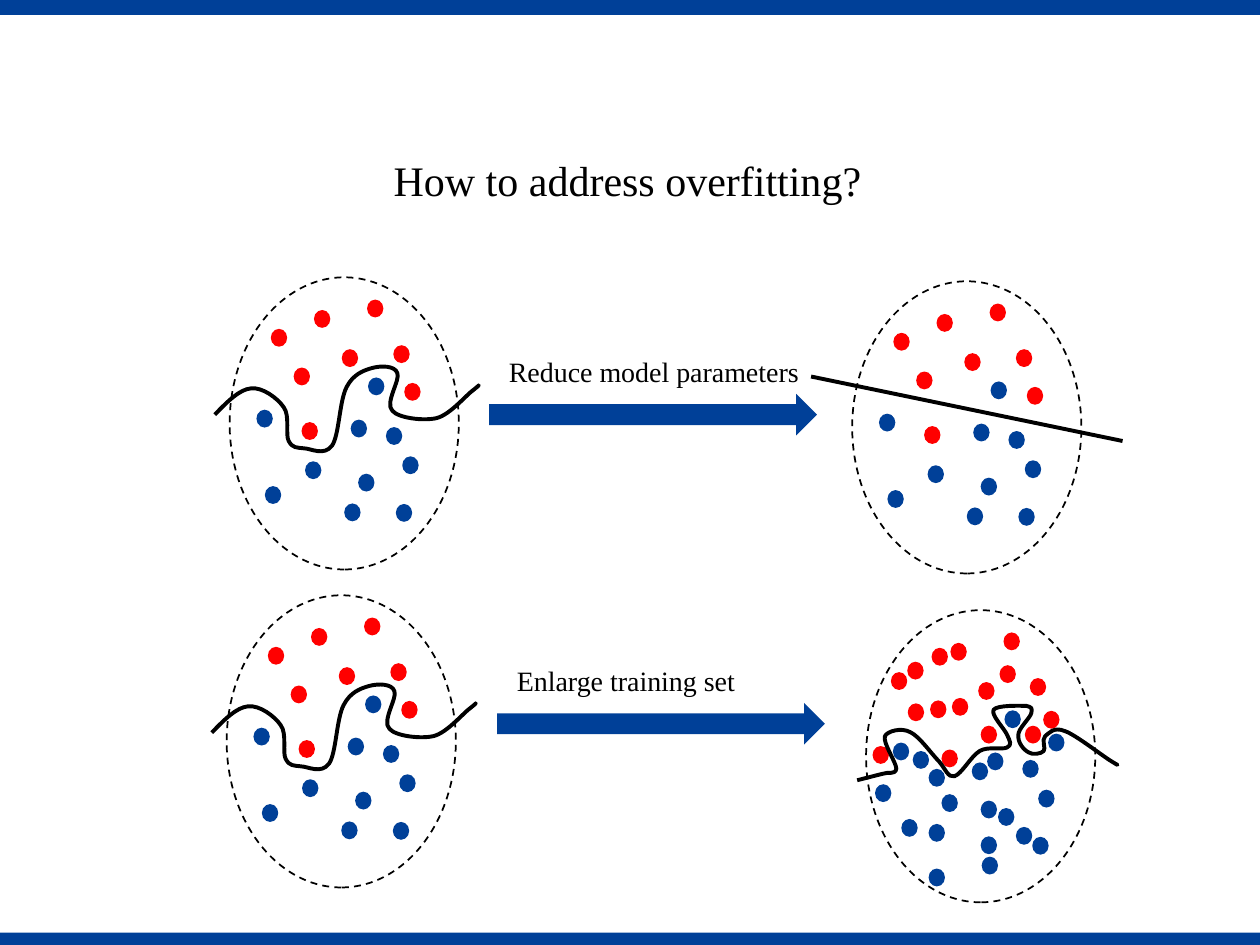
import lxml.etree
import pptx
import pptx.dml.color
import pptx.enum.dml
import pptx.enum.shapes
import pptx.enum.text
import pptx.oxml.ns
import pptx.util

Cm = pptx.util.Cm
Pt = pptx.util.Pt
qn = pptx.oxml.ns.qn
Shape = pptx.enum.shapes.MSO_SHAPE
BLUE = pptx.dml.color.RGBColor(0x00, 0x40, 0x98)
RED = pptx.dml.color.RGBColor(0xFF, 0x00, 0x00)
BLACK = pptx.dml.color.RGBColor(0x00, 0x00, 0x00)

WIDTH, HEIGHT = 25.4, 19.05
OVAL_WIDTH, OVAL_HEIGHT = 4.62, 5.89
DOT_WIDTH, DOT_HEIGHT = 0.33, 0.36

# Dots and curves are in cm from the top left corner of their oval
COMMON_DOTS = {
    RED: [(1.7, 0.66), (2.26, 1.45), (1.29, 1.82), (2.77, 0.45),
          (3.3, 1.37), (0.83, 1.04)],
    BLUE: [(2.44, 2.87), (0.54, 2.67), (0.71, 4.21), (1.52, 3.71),
           (2.31, 4.56), (3.35, 4.57), (2.79, 2.02), (3.15, 3.02)],
}
SMALL_SET = {
    RED: [(1.45, 2.92), (3.52, 2.13)],
    BLUE: [(3.48, 3.61), (2.59, 3.96)],
}
LARGE_SET = {
    RED: [(1.52, 2.81), (3.57, 2.03), (1.32, 0.76), (2.31, 2.33),
          (0.13, 2.74), (2.69, 1.11), (0.84, 1.88), (1.73, 1.77),
          (3.2, 2.33), (0.5, 1.25)],
    BLUE: [(2.66, 3.99), (2.13, 3.07), (0.18, 3.51), (1.26, 5.21),
           (1.26, 4.31), (2.33, 4.97), (3.47, 3.62), (2.31, 3.84),
           (3.02, 4.37), (3.67, 2.49), (1.26, 3.2), (0.94, 2.84)],
}

# Cubic curves: a start, then two control points and an end for each piece
OVERFIT_CURVE = [
    (-0.3, 2.77),
    (-0.05, 2.51), (0.2, 2.26), (0.43, 2.24),
    (0.66, 2.21), (0.97, 2.44), (1.09, 2.62),
    (1.22, 2.79), (1.12, 3.18), (1.19, 3.3),
    (1.27, 3.45), (1.35, 3.43), (1.5, 3.45),
    (1.63, 3.45), (1.9, 3.61), (2.06, 3.4),
    (2.21, 3.2), (2.21, 2.49), (2.36, 2.21),
    (2.49, 1.96), (2.69, 1.88), (2.87, 1.83),
    (3.05, 1.78), (3.33, 1.78), (3.38, 1.93),
    (3.45, 2.06), (3.12, 2.54), (3.28, 2.69),
    (3.4, 2.84), (3.91, 2.9), (4.17, 2.84),
    (4.45, 2.77), (4.78, 2.36), (4.93, 2.26),
    (5.05, 2.16), (5.03, 2.18), (5.0, 2.18),
]
# This one opens with a straight piece
LARGE_SET_CURVE = [
    (-0.18, 3.43), (0.33, 3.3),
    (0.46, 3.25), (0.58, 3.33), (0.61, 3.2),
    (0.61, 3.07), (0.33, 2.67), (0.38, 2.54),
    (0.43, 2.44), (0.71, 2.36), (0.89, 2.46),
    (1.07, 2.54), (1.32, 2.9), (1.47, 3.05),
    (1.6, 3.2), (1.65, 3.38), (1.78, 3.35),
    (1.93, 3.3), (2.11, 2.95), (2.29, 2.84),
    (2.46, 2.74), (2.74, 2.82), (2.84, 2.77),
    (2.95, 2.72), (2.9, 2.64), (2.84, 2.51),
    (2.79, 2.39), (2.51, 2.11), (2.57, 2.01),
    (2.64, 1.91), (3.1, 1.93), (3.23, 1.93),
    (3.35, 1.96), (3.35, 1.98), (3.33, 2.08),
    (3.3, 2.18), (3.07, 2.39), (3.07, 2.51),
    (3.05, 2.67), (3.18, 2.82), (3.28, 2.87),
    (3.35, 2.92), (3.53, 2.9), (3.58, 2.84),
    (3.63, 2.79), (3.53, 2.62), (3.61, 2.54),
    (3.68, 2.49), (3.78, 2.34), (4.01, 2.44),
    (4.22, 2.51), (4.78, 2.95), (4.95, 3.05),
    (5.11, 3.15), (5.08, 3.12), (5.03, 3.1),
]


def bend(shape):
    """Turn each three straight pieces into one cubic; a spare first piece stays."""
    outline = next(shape._element.iter(qn("a:path")))
    pieces = outline.findall(qn("a:lnTo"))
    for first in range(len(pieces) % 3, len(pieces), 3):
        cubic = lxml.etree.SubElement(outline, qn("a:cubicBezTo"))
        for piece in pieces[first:first + 3]:
            cubic.append(piece[0])
            outline.remove(piece)


def write_text(box, text, size=16, color=BLACK, font="Times New Roman"):
    frame = box.text_frame
    frame.word_wrap = False
    frame.auto_size = pptx.enum.text.MSO_AUTO_SIZE.SHAPE_TO_FIT_TEXT
    frame.vertical_anchor = pptx.enum.text.MSO_ANCHOR.TOP
    para = frame.paragraphs[0]
    para.alignment = pptx.enum.text.PP_ALIGN.LEFT
    span = para.add_run()
    span.text = text
    span.font.name = font
    span.font.size = Pt(size)
    span.font.color.rgb = color


class Painter:
    thick = Pt(2.25)
    thin = Pt(1)

    def __init__(self, page):
        self.page = page

    def title(self, text, left, top, width, height):
        box = self.page.shapes.title
        box.left, box.top, box.width, box.height = map(Cm, (left, top, width, height))
        write_text(box, text, size=24)

    def label(self, text, left, top, width, height=0.94):
        box = self.page.shapes.add_textbox(*map(Cm, (left, top, width, height)))
        write_text(box, text)

    def solid(self, kind, left, top, width, height, color=BLUE, parent=None):
        shapes = (parent or self.page).shapes
        shape = shapes.add_shape(kind, *map(Cm, (left, top, width, height)))
        shape.shadow.inherit = False
        shape.fill.solid()
        shape.fill.fore_color.rgb = color
        shape.line.fill.background()
        return shape

    def oval(self, left, top, parent):
        # Lies on its side, then turns about its centre
        shift = (OVAL_HEIGHT - OVAL_WIDTH) / 2
        shape = self.solid(Shape.OVAL, left - shift, top + shift,
                           OVAL_HEIGHT, OVAL_WIDTH, parent=parent)
        shape.rotation = 270
        shape.fill.background()
        shape.line.color.rgb = BLACK
        shape.line.width = self.thin
        shape.line.dash_style = pptx.enum.dml.MSO_LINE.DASH

    def sample(self, left, top, extra_dots, curve=None):
        group = self.page.shapes.add_group_shape()
        for dots in (COMMON_DOTS, extra_dots):
            for color, places in dots.items():
                for x, y in places:
                    self.solid(Shape.OVAL, left + x, top + y, DOT_WIDTH, DOT_HEIGHT,
                               color, group)
        self.oval(left, top, group)
        if curve:
            self.curve(left, top, curve)

    def curve(self, left, top, knots):
        start, *rest = [(Cm(left + x), Cm(top + y)) for x, y in knots]
        builder = self.page.shapes.build_freeform(*start)
        builder.add_line_segments(rest, close=False)
        shape = builder.convert_to_shape()
        bend(shape)
        shape.shadow.inherit = False
        shape.fill.background()
        shape.line.color.rgb = BLACK
        shape.line.width = self.thick

    def line(self, *ends):
        line = self.page.shapes.add_connector(
            pptx.enum.shapes.MSO_CONNECTOR.STRAIGHT, *map(Cm, ends))
        line.line.color.rgb = BLACK
        line.line.width = self.thick
        lxml.etree.SubElement(line._element.spPr, qn("a:effectLst"))

    def step(self, text, left, top, text_width):
        self.solid(Shape.RIGHT_ARROW, left, top, 6.61, 0.84)
        self.label(text, left + 0.15, top - 0.91, text_width)


def main():
    deck = pptx.Presentation()
    deck.slide_width, deck.slide_height = Cm(WIDTH), Cm(HEIGHT)
    painter = Painter(deck.slides.add_slide(deck.slide_layouts[5]))

    # Bands and title
    painter.solid(Shape.RECTANGLE, 0, HEIGHT - 0.25, WIDTH, 0.25)
    painter.solid(Shape.RECTANGLE, 0, 0, WIDTH, 0.3)
    painter.title("How to address overfitting?", 7.68, 2.98, 10.03, 1.27)

    # Fewer parameters: the curve becomes a line
    painter.sample(4.63, 5.59, SMALL_SET, OVERFIT_CURVE)
    painter.step("Reduce model parameters", 9.86, 7.94, 6.45)
    painter.sample(17.18, 5.67, SMALL_SET)
    painter.line(16.35, 7.59, 22.63, 8.89)

    # More data: the curve follows the larger set
    painter.sample(4.57, 12, SMALL_SET, OVERFIT_CURVE)
    painter.step("Enlarge training set", 10.02, 14.17, 4.98)
    painter.sample(17.46, 12.3, LARGE_SET, LARGE_SET_CURVE)

    deck.save("out.pptx")


if __name__ == "__main__":
    main()
